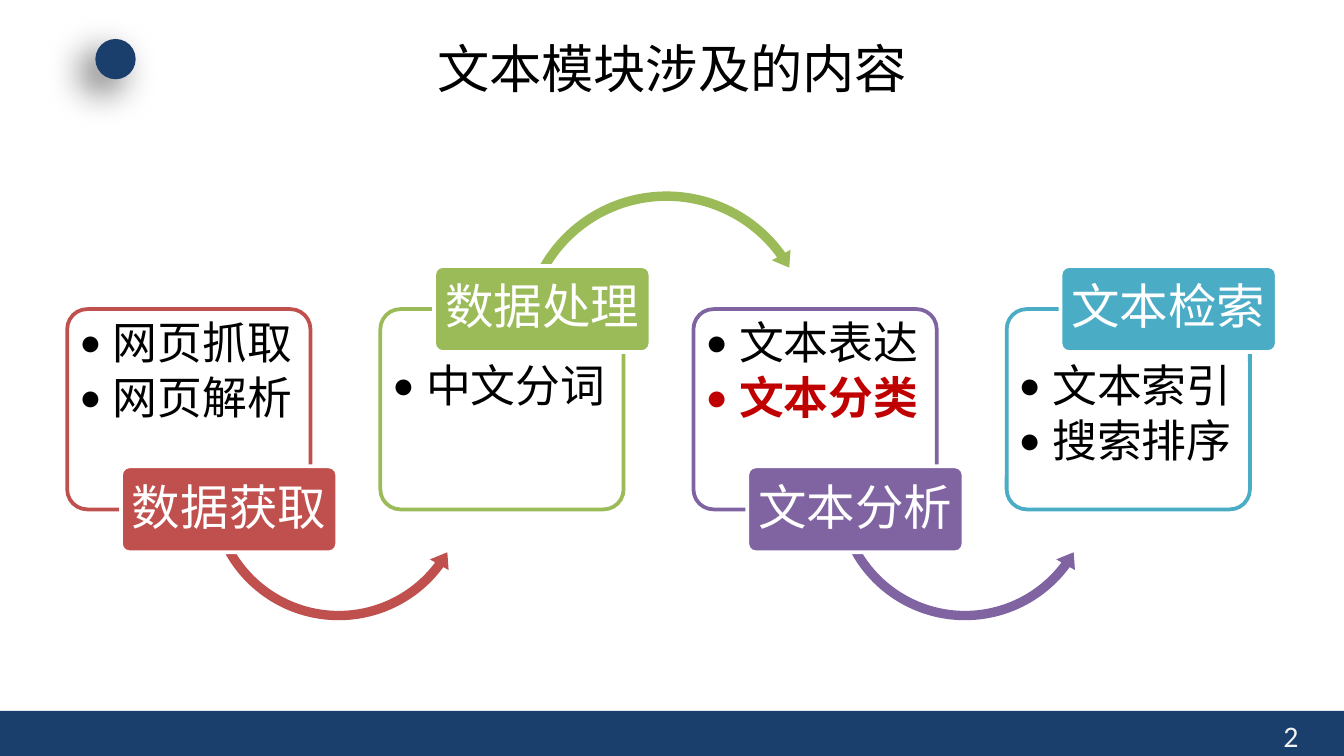
from collections import namedtuple
from dataclasses import dataclass

from lxml import etree
from pptx import Presentation
from pptx.dml.color import RGBColor
from pptx.enum.shapes import MSO_SHAPE
from pptx.enum.text import MSO_ANCHOR, PP_ALIGN
from pptx.oxml import parse_xml
from pptx.oxml.ns import nsdecls, qn
from pptx.util import Inches, Pt


@dataclass(frozen=True)
class Theme:
    navy: str = "1A3F6C"
    white: str = "FFFFFF"
    black: str = "000000"
    page: str = "F2F2F2"
    alert: str = "C00000"
    latin: str = "Calibri"
    cjk: str = "Noto Sans CJK SC"
    title_size: int = 28
    label_size: int = 26
    list_size: int = 24
    page_size: int = 16


T = Theme()
Stage = namedtuple("Stage", "label color items")
STAGES = [
    Stage("数据获取", "C0504D", ["网页抓取", "网页解析"]),
    Stage("数据处理", "9BBB59", ["中文分词"]),
    Stage("文本分析", "8064A2", ["文本表达", "文本分类"]),
    Stage("文本检索", "4BACC6", ["文本索引", "搜索排序"]),
]
HIGHLIGHT = "文本分类"

# Arrow angles in degrees: head half-width, end, start
Arrow = namedtuple("Arrow", "kind dx dy size head end start")
LOW_ARROW = Arrow(MSO_SHAPE.LEFT_CIRCULAR_ARROW, 1.01, 0.34, 2.02, 6.79, 36.39, 150.41)
HIGH_ARROW = Arrow(MSO_SHAPE.CIRCULAR_ARROW, 1, -0.92, 2.26, 6.05, 324.36, 209.59)


def rgb(value):
    return RGBColor.from_string(value)


def add_shape(slide, kind, box, fill, line=None):
    sp = slide.shapes.add_shape(kind, *map(Inches, box))
    sp.shadow.inherit = False
    sp.fill.solid()
    sp.fill.fore_color.rgb = rgb(fill)
    if line:
        sp.line.color.rgb = rgb(line)
        sp.line.width = Pt(2)
    else:
        sp.line.fill.background()
    return sp


def add_rounded(slide, box, fill, line):
    add_shape(slide, MSO_SHAPE.ROUNDED_RECTANGLE, box, fill, line).adjustments[0] = 0.1


def add_run(p, text, size, color, latin=T.latin, bold=False):
    r = p.add_run()
    r.text = text
    for name, value in {"size": Pt(size), "bold": bold, "name": latin}.items():
        setattr(r.font, name, value)
    r.font.color.rgb = rgb(color)
    ea = etree.Element(qn("a:ea"), typeface=T.cjk)
    r.font._element.find(qn("a:latin")).addnext(ea)


def add_text_frame(slide, box, x_inset, y_inset, anchor=MSO_ANCHOR.TOP):
    tf = slide.shapes.add_textbox(*map(Inches, box)).text_frame
    formats = {
        "word_wrap": True, "vertical_anchor": anchor,
        "margin_left": Inches(x_inset), "margin_right": Inches(x_inset),
        "margin_top": Inches(y_inset), "margin_bottom": Inches(y_inset),
    }
    for name, value in formats.items():
        setattr(tf, name, value)
    return tf


def add_bullets(slide, box, items):
    tf = add_text_frame(slide, box, 0.05, 0.05)
    for i, item in enumerate(items):
        p = tf.paragraphs[0] if i == 0 else tf.add_paragraph()
        p.level = 1
        p.line_spacing = 0.9
        p.space_after = Pt(0.15 * T.list_size)
        pPr = p._p.get_or_add_pPr()
        pPr.set("marL", str(Inches(0.25)))
        pPr.set("indent", str(-Inches(0.25)))
        etree.SubElement(pPr, qn("a:buFont"), typeface=T.latin)
        etree.SubElement(pPr, qn("a:buChar"), char="•")
        marked = item == HIGHLIGHT
        add_run(p, item, T.list_size, T.alert if marked else T.black, bold=marked)


def add_label(slide, box, text, color):
    left, top, width, height = box
    add_rounded(slide, box, color, T.white)
    tf = add_text_frame(slide, (left + 0.02, top + 0.02, width - 0.04, height - 0.04),
                        0.05, 0.04, MSO_ANCHOR.MIDDLE)
    p = tf.paragraphs[0]
    p.alignment = PP_ALIGN.CENTER
    p.line_spacing = 0.9
    add_run(p, text, T.label_size, T.white)


def add_arrow(slide, left, top, arrow, color):
    """Place a curved arrow relative to its card's corner."""
    size = arrow.size
    sp = add_shape(slide, arrow.kind, (left + arrow.dx, top + arrow.dy, size, size), color)
    degree = 0.6  # adjustment units per degree
    values = (0.07 / size, arrow.head * degree, arrow.end * degree,
              arrow.start * degree, 0.08 / size)
    for i, value in enumerate(values):
        sp.adjustments[i] = value


def add_stage(slide, box, stage, label_on_top, has_next):
    left, top, width, height = box
    add_rounded(slide, box, T.white, stage.color)
    list_top = top + (0.36 if label_on_top else 0.04)
    add_bullets(slide, (left + 0.04, list_top, width - 0.07, 1.1), stage.items)
    if has_next:
        add_arrow(slide, left, top, HIGH_ARROW if label_on_top else LOW_ARROW, stage.color)
    label_top = top + (-0.32 if label_on_top else height - 0.32)
    add_label(slide, (left + 0.4, label_top, 1.61, 0.64), stage.label, stage.color)


def add_process(slide, box):
    left, top, width, height = box
    card_width = 1.81
    pitch = (width - card_width) / (len(STAGES) - 1)
    for i, stage in enumerate(STAGES):
        add_stage(slide, (left + i * pitch, top, card_width, height), stage,
                  label_on_top=i % 2 == 1, has_next=i < len(STAGES) - 1)


def add_footer(slide, box, number):
    left, top, width, height = box
    add_shape(slide, MSO_SHAPE.RECTANGLE, box, T.navy)
    tf = add_text_frame(slide, (left + width - 0.55, top, 0.5, 0.3), 0.1, 0.05)
    add_run(tf.paragraphs[0], number, T.page_size, T.page)


def add_header(slide, box, text):
    left, top, width, height = box
    dot = add_shape(slide, MSO_SHAPE.OVAL, (left + 0.21, top + 0.06, 0.3, 0.3), T.navy)
    dot._element.spPr.find(qn("a:effectLst")).append(parse_xml(
        f'<a:outerShdw {nsdecls("a")} blurRad="{Pt(20)}" dist="{Pt(10)}" dir="8100000">'
        f'<a:srgbClr val="{T.black}"><a:alpha val="60000"/></a:srgbClr></a:outerShdw>'))
    title = slide.shapes.title
    for name, value in zip(("left", "top", "width", "height"), box):
        setattr(title, name, Inches(value))
    title.text_frame.vertical_anchor = MSO_ANCHOR.MIDDLE
    p = title.text_frame.paragraphs[0]
    p.alignment = PP_ALIGN.CENTER
    add_run(p, text, T.title_size, T.black, T.cjk)


def main():
    prs = Presentation()
    prs.slide_width = Inches(10)
    prs.slide_height = prs.slide_width * 9 // 16
    slide = prs.slides.add_slide(prs.slide_layouts[5])
    add_footer(slide, (0, 5.29, 10, 0.34), "2")
    add_header(slide, (0.5, 0.23, 9, 0.55), "文本模块涉及的内容")
    add_process(slide, (0.5, 2.3, 8.8, 1.49))
    prs.save("out.pptx")


if __name__ == "__main__":
    main()
